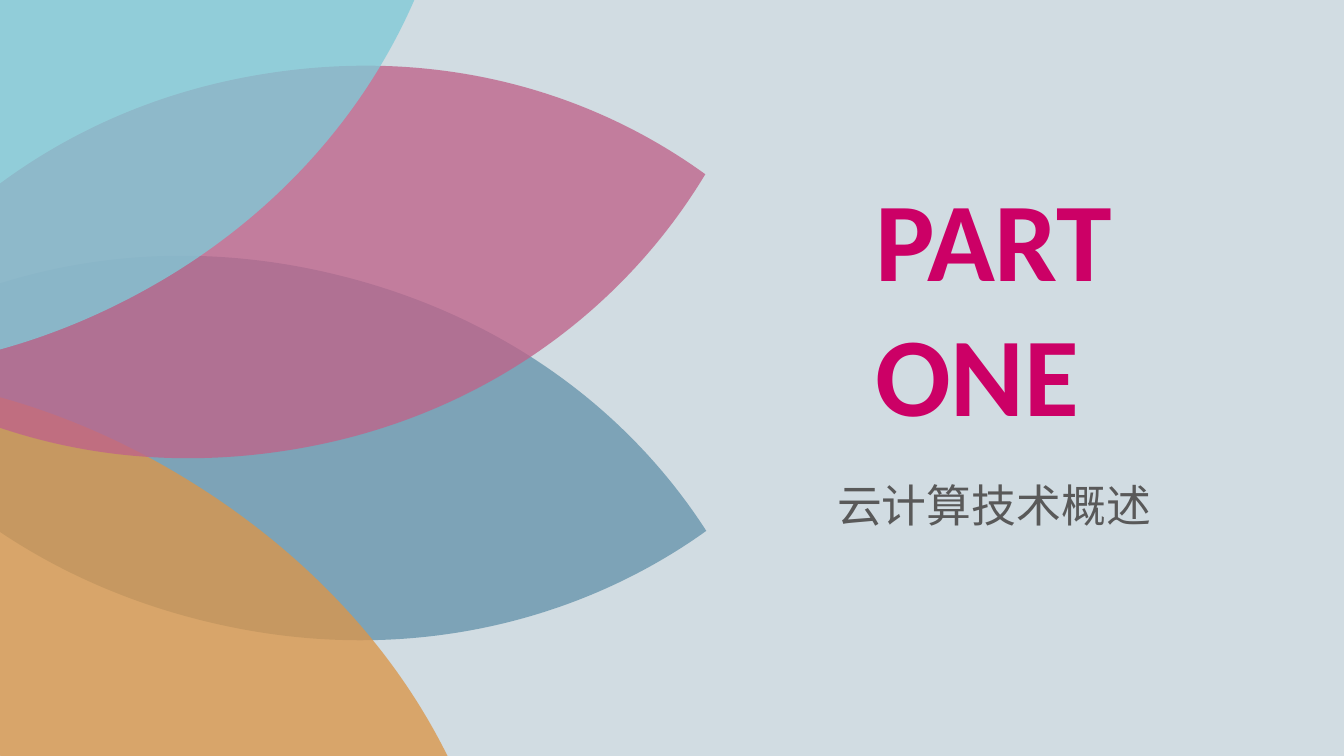
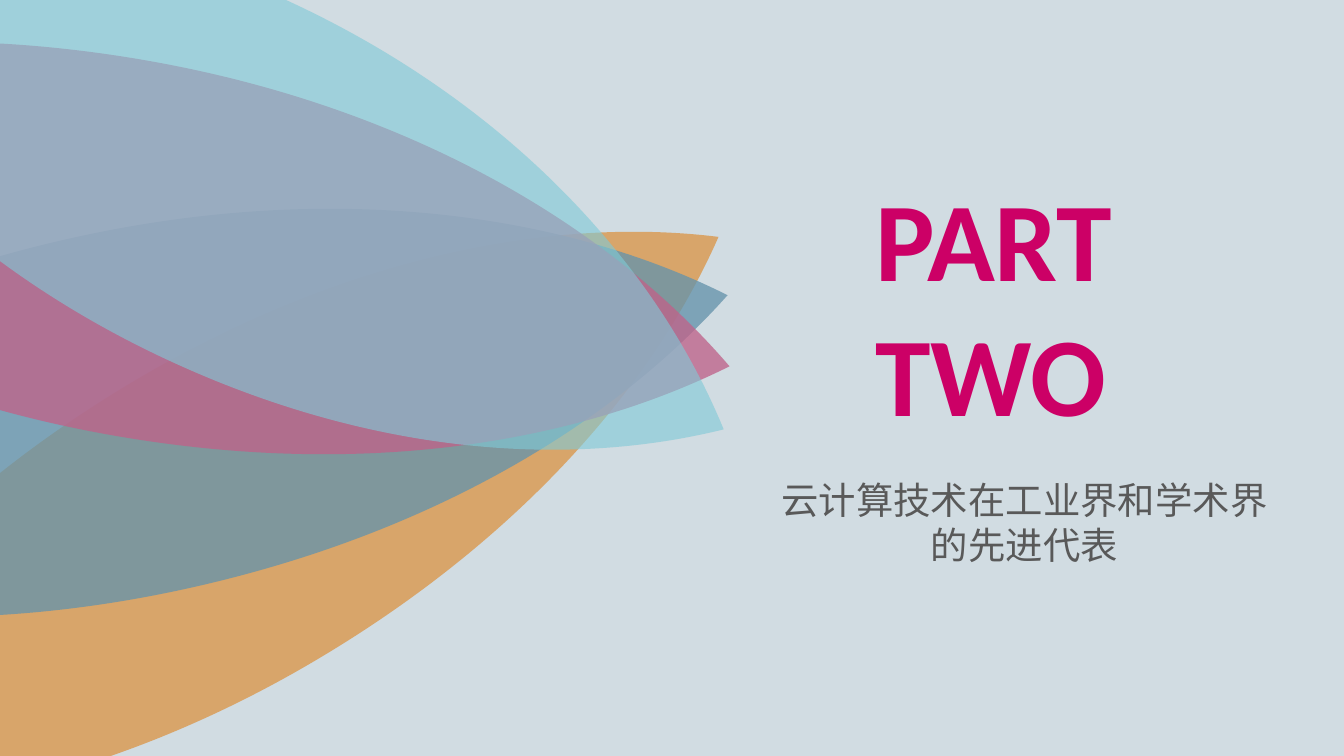
"""Build two section-divider slides with overlapping translucent petals."""
import lxml.etree
import pptx
import pptx.dml.color
import pptx.enum.text
import pptx.oxml.ns
import pptx.util

SCALE = 914400 / 134.4
WIDTH, HEIGHT = 1344, 756
MIST, PINK, GREY = "D1DCE2", "CC0066", "595959"
BLUE, ORANGE, ROSE, TEAL = "6694AB", "DB9649", "BF638A", "80CAD7"
LATIN, CHINESE = "Calibri", "Noto Sans CJK SC"
HALF_PETAL = [(-0.5, 0.03), (-0.38, -0.29), (-0.2, -0.5), (0.01, -0.5),
              (0.21, -0.5), (0.38, -0.32), (0.5, -0.03)]
PETAL = HALF_PETAL + [(-along, -across) for along, across in HALF_PETAL[1:]]

SECTIONS = [
    {"title": ["PART", "ONE"], "topic": "云计算技术概述",
     "topic_box": (764, 471, 460, 67), "topic_size": 24, "mirror": 1,
     "petals": [(BLUE, 78, 271, 448, 367, 886, 282.2),
                (ORANGE, 78, 86, 613, 333, 907, 120.9),
                (ROSE, 78, 277, 262, 375, 874, 259.9),
                (TEAL, 78, 71, 132, 348, 867, 240.8)]},
    {"title": ["PART", "TWO"], "topic": "云计算技术在工业界和学术界的先进代表",
     "topic_box": (764, 471, 521, 103), "topic_size": 20, "mirror": -1,
     "petals": [(ORANGE, 78, 226, 520, 333, 1136, 239.1),
                (BLUE, 78, 131, 413, 367, 1216, 77.8),
                (ROSE, 78, 130, 248, 375, 1222, 100.1),
                (TEAL, 61, 229, 181, 376, 1107, 115.5)]},
]


def px(length):
    return round(length * SCALE)


def color(code):
    return pptx.dml.color.RGBColor.from_string(code)


def write(frame, lines, size=20, code=GREY, font=LATIN, bold=False, align=None):
    for index, line in enumerate(lines):
        paragraph = frame.add_paragraph() if index else frame.paragraphs[0]
        paragraph.alignment = align
        run = paragraph.add_run()
        run.text = line
        run.font.size = pptx.util.Pt(size)
        run.font.bold = bold
        run.font.name = font
        run.font.color.rgb = color(code)
        east_asian = lxml.etree.SubElement(run.font._element, pptx.oxml.ns.qn("a:ea"))
        east_asian.set("typeface", font)


def bend(properties):
    corners = list(properties.iter(pptx.oxml.ns.qn("a:lnTo")))
    for start in range(0, len(corners), 3):
        curve = lxml.etree.Element(pptx.oxml.ns.qn("a:cubicBezTo"))
        corners[start].addprevious(curve)
        for corner in corners[start:start + 3]:
            curve.append(corner[0])
            corner.getparent().remove(corner)


class Deck:
    def __init__(self):
        self.show = pptx.Presentation()
        self.show.slide_width, self.show.slide_height = px(WIDTH), px(HEIGHT)
        self.slide = None

    def new_slide(self):
        self.slide = self.show.slides.add_slide(self.show.slide_layouts[6])
        background = self.slide.background.fill
        background.solid()
        background.fore_color.rgb = color(MIST)

    def petals(self, petals, mirror):
        flower = self.slide.shapes.add_group_shape()
        for petal in petals:
            self.petal(flower, mirror, *petal)

    def petal(self, flower, mirror, code, opacity, x, y, width, length, angle):
        points = [(px(x + mirror * across * width), px(y - along * length))
                  for along, across in PETAL]
        builder = flower.shapes.build_freeform(*points[0])
        builder.add_line_segments(points[1:], close=True)
        petal = builder.convert_to_shape()
        bend(petal._element.spPr)
        petal.rotation = angle
        petal.shadow.inherit = False
        petal.line.fill.background()
        petal.fill.solid()
        petal.fill.fore_color.rgb = color(code)
        tint = petal._element.spPr.find(".//" + pptx.oxml.ns.qn("a:srgbClr"))
        alpha = lxml.etree.SubElement(tint, pptx.oxml.ns.qn("a:alpha"))
        alpha.set("val", str(opacity * 1000))

    def text(self, box, lines, **style):
        frame = self.slide.shapes.add_textbox(*map(px, box)).text_frame
        frame.word_wrap = True
        frame.auto_size = pptx.enum.text.MSO_AUTO_SIZE.SHAPE_TO_FIT_TEXT
        write(frame, lines, **style)


def main():
    deck = Deck()
    for section in SECTIONS:
        deck.new_slide()
        deck.petals(section["petals"], section["mirror"])
        deck.text((862, 163, 265, 417), section["title"], size=60, code=PINK, bold=True)
        deck.text(section["topic_box"], [section["topic"]], size=section["topic_size"],
                  font=CHINESE, align=pptx.enum.text.PP_ALIGN.CENTER)
    deck.show.save("out.pptx")


if __name__ == "__main__":
    main()
